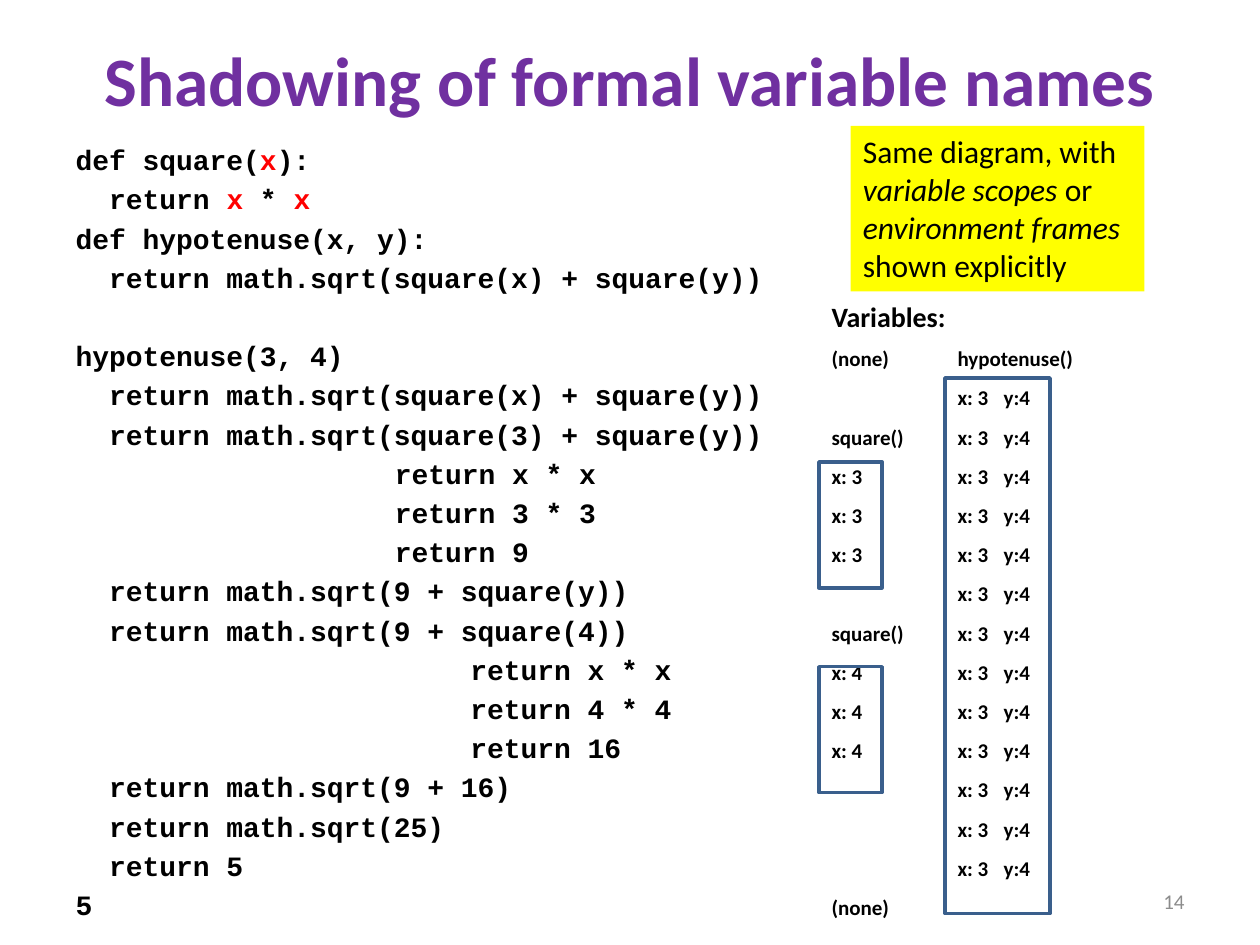
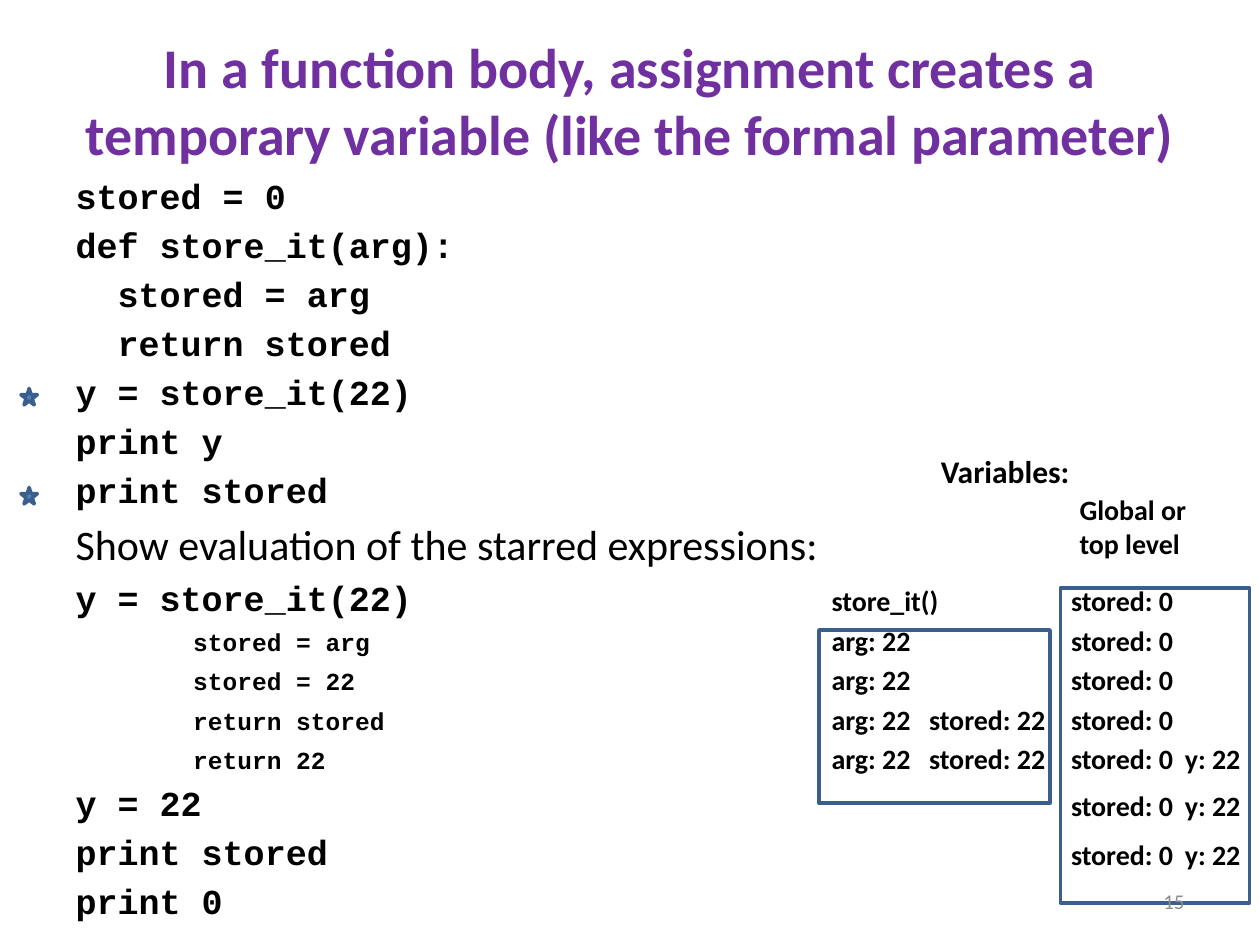
from dataclasses import dataclass
from typing import Any

from lxml import etree
from pptx import Presentation
from pptx import util as u
from pptx.dml.color import RGBColor
from pptx.enum import shapes as sh
from pptx.enum import text as tx
from pptx.oxml import ns

BLACK = RGBColor(0, 0, 0)
RED = RGBColor(0xFF, 0, 0)
PURPLE = RGBColor(0x70, 0x30, 0xA0)
YELLOW = RGBColor(0xFF, 0xFF, 0)
BLUE = RGBColor(0x4F, 0x81, 0xBD)
NAVY = RGBColor(0x3A, 0x5F, 0x8C)
GREY = RGBColor(0x8C, 0x8C, 0x8C)

PLAIN = {"name": "Calibri", "rgb": BLACK}
BOLD = PLAIN | {"bold": True}
CODE = BOLD | {"name": "Courier New"}
HEAD = BOLD | {"rgb": PURPLE}
FOOT = PLAIN | {"rgb": GREY, "size": u.Pt(12)}


@dataclass
class Box:
    x: float
    y: float
    w: float
    h: float


@dataclass
class Cell:
    stop: float
    words: str


@dataclass
class Row:
    code: str
    cells: tuple[Cell, ...] = ()
    indent: float = 0
    size: float = 16
    small: float = 12
    fmt: dict[str, Any] | None = None


def style(font: Any, fmt: dict[str, Any]) -> None:
    for key, val in fmt.items():
        if key == "rgb":
            font.color.rgb = val
        else:
            setattr(font, key, val)


def write(par: Any, words: str, fmt: dict[str, Any], alt: dict[str, Any] | None = None) -> None:
    for i, part in enumerate(words.split("|")):
        if part:
            run = par.add_run()
            run.text = part
            style(run.font, fmt | (alt or {}) if i % 2 else fmt)


def place(item: Any, box: Box) -> None:
    spots = {"left": box.x, "top": box.y, "width": box.w, "height": box.h}
    for key, val in spots.items():
        setattr(item, key, u.Pt(val))


def clear_indent(deck: Any) -> None:
    body = deck.slide_master.element.find(".//" + ns.qn("p:bodyStyle"))
    level = body.find(ns.qn("a:lvl1pPr"))
    level.set("marL", "0")
    level.attrib.pop("indent", None)


def set_tabs(par: Any, stops: list[float]) -> None:
    prop = par._p.get_or_add_pPr()
    etree.SubElement(prop, ns.qn("a:buNone"))
    if stops:
        tabs = etree.SubElement(prop, ns.qn("a:tabLst"))
        for stop in stops:
            etree.SubElement(tabs, ns.qn("a:tab"), pos=str(u.Pt(stop)), algn="l")


def add_row(par: Any, row: Row) -> None:
    stops = [row.indent] if row.indent else []
    set_tabs(par, stops + [cell.stop for cell in row.cells])
    lead = "\t" if row.indent else ""
    tail = "\t" if row.cells else ""
    size = {"size": u.Pt(row.size)}
    write(par, lead + row.code + tail, (row.fmt or CODE) | size, {"rgb": RED})
    words = "\t".join(cell.words for cell in row.cells)
    write(par, words, BOLD | {"size": u.Pt(row.small)})


def add_page(deck: Any, title: str, size: float, top: Box, main: Box, rows: list[Row]) -> Any:
    page = deck.slides.add_slide(deck.slide_layouts[1])
    head, body = page.placeholders
    for item, box in ((head, top), (body, main)):
        place(item, box)
        item.text_frame.auto_size = tx.MSO_AUTO_SIZE.NONE
    write(head.text_frame.paragraphs[0], title, HEAD | {"size": u.Pt(size)})
    frame = body.text_frame
    for i, row in enumerate(rows):
        add_row(frame.add_paragraph() if i else frame.paragraphs[0], row)
    return page


def add_form(page: Any, kind: Any, box: Box, fill: RGBColor | None = None,
             line: RGBColor | None = NAVY) -> Any:
    form = page.shapes.add_shape(kind, *(u.Pt(n) for n in (box.x, box.y, box.w, box.h)))
    form.shadow.inherit = False
    if fill is None:
        form.fill.background()
    else:
        form.fill.solid()
        form.fill.fore_color.rgb = fill
    if line is None:
        form.line.fill.background()
    else:
        form.line.color.rgb = line
        form.line.width = u.Pt(2)
    return form


def add_label(page: Any, box: Box, words: str, fmt: dict[str, Any], wrap: bool = False) -> Any:
    label = page.shapes.add_textbox(*(u.Pt(n) for n in (box.x, box.y, box.w, box.h)))
    label.text_frame.word_wrap = wrap
    par = label.text_frame.paragraphs[0]
    par.text = words
    for run in par.runs:
        style(run.font, fmt)
    return label


def add_number(page: Any, num: int) -> None:
    frame = add_label(page, Box(516, 500.4, 168, 28.8), str(num), FOOT, True).text_frame
    frame.vertical_anchor = tx.MSO_ANCHOR.MIDDLE
    frame.paragraphs[0].alignment = tx.PP_ALIGN.RIGHT


RECT = sh.MSO_SHAPE.RECTANGLE
STAR = sh.MSO_SHAPE.STAR_5_POINT


def scope_page(deck: Any) -> None:
    near, far, last = 432, 504, 530.3
    step, left, right = 19.2, 182.4, 225.6
    outer = (Cell(far, "x: 3"), Cell(last, "y:4"))
    call = (Cell(near, "square()"),) + outer
    three = (Cell(near, "x: 3"),) + outer
    four = (Cell(near, "x: 4"),) + outer
    none = Cell(near, "(none)")
    rows = [
        Row("def square(|x|):"),
        Row("return |x| * |x", indent=step),
        Row("def hypotenuse(x, y):"),
        Row("return math.sqrt(square(x) + square(y))", indent=step),
        Row("", (Cell(near, "Variables:"),), small=16),
        Row("hypotenuse(3, 4)", (none, Cell(far, "hypotenuse()"))),
        Row("return math.sqrt(square(x) + square(y))", outer, step),
        Row("return math.sqrt(square(3) + square(y))", call, step),
        *(Row(f"return {val}", three, left) for val in ("x * x", "3 * 3", "9")),
        Row("return math.sqrt(9 + square(y))", outer, step),
        Row("return math.sqrt(9 + square(4))", call, step),
        *(Row(f"return {val}", four, right) for val in ("x * x", "4 * 4", "16")),
        *(Row(f"return {val}", outer, step) for val in ("math.sqrt(9 + 16)", "math.sqrt(25)", "5")),
        Row("5", (none,)),
    ]
    page = add_page(deck, "Shadowing of formal variable names", 39.6,
                    Box(36, 0, 648, 90), Box(36, 78, 648, 438), rows)
    for box in (Box(540, 216, 60, 306), Box(468, 264, 36, 72), Box(468, 381, 36, 72)):
        add_form(page, RECT, box)
    note = add_form(page, RECT, Box(486, 72, 168, 94.5), YELLOW, None).text_frame
    note.word_wrap = True
    note.vertical_anchor = tx.MSO_ANCHOR.TOP
    par = note.paragraphs[0]
    par.alignment = tx.PP_ALIGN.LEFT
    write(par, "Same diagram, with |variable scopes| or |environment frames| shown explicitly",
          PLAIN | {"size": u.Pt(18)}, {"italic": True})
    add_number(page, 14)


def store_page(deck: Any) -> None:
    near, mid, far, last = 432, 487.7, 568.8, 633.9
    step, deep = 24, 67.2
    zero = (Cell(far, "stored: 0"),)
    both = zero + (Cell(last, "y: 22"),)
    arg = (Cell(near, "arg: 22"),)
    full = arg + (Cell(mid, "stored: 22"),)
    big = {"size": 20, "small": 16}
    low = {"indent": deep, "size": 14, "small": 16}
    rows = [
        Row("stored = 0", **big),
        Row("def store_it(arg):", **big),
        Row("stored = arg", indent=step, **big),
        Row("return stored", indent=step, **big),
        *(Row(code, **big) for code in ("y = store_it(22)", "print y", "print stored")),
        Row("Show evaluation of the starred expressions:", size=24, fmt=PLAIN | {"bold": False}),
        Row("y = store_it(22)", (Cell(near, "store_it()"),) + zero, **big),
        Row("stored = arg", arg + zero, **low),
        Row("stored = 22", arg + zero, **low),
        Row("return stored", full + zero, **low),
        Row("return 22", full + both, **low),
        Row("y = 22", both, **big),
        Row("print stored", both, **big),
        Row("print 0", **big),
    ]
    page = add_page(
        deck,
        "In a function body, assignment creates a temporary variable (like the formal parameter)",
        32, Box(36, 12, 648, 90), Box(36, 96, 684, 384), rows)
    for box in (Box(468, 360, 132, 99), Box(606, 336, 108, 180)):
        add_form(page, RECT, box)
    add_label(page, Box(609.8, 278, 76, 46), "Global or\vtop level", BOLD | {"size": u.Pt(16)})
    add_label(page, Box(530.6, 255, 88.6, 29), "Variables:", BOLD | {"size": u.Pt(18)})
    for top in (222, 278.6):
        add_form(page, STAR, Box(12, top, 9.4, 9.4), BLUE)
    add_number(page, 15)


deck = Presentation()
deck.slide_width, deck.slide_height = u.Pt(720), u.Pt(540)
clear_indent(deck)
scope_page(deck)
store_page(deck)
deck.save("out.pptx")
